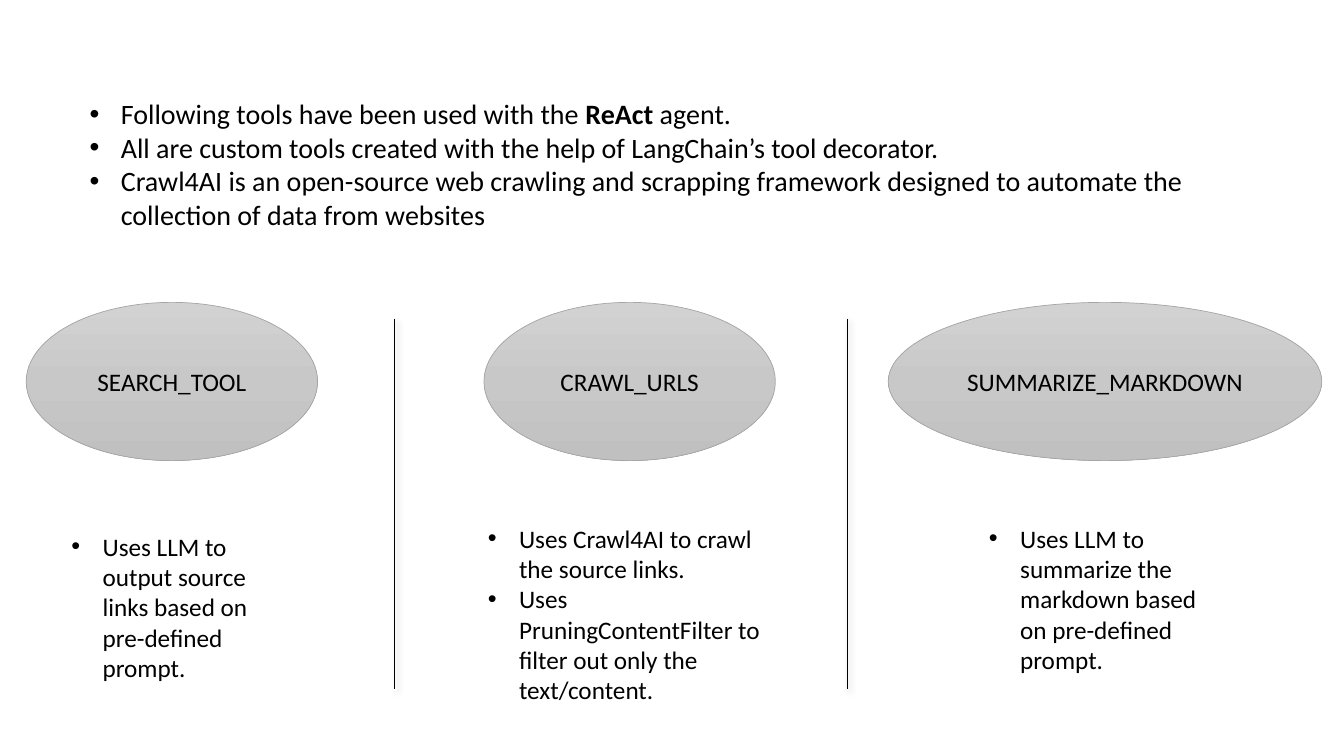
from copy import deepcopy
from lxml.etree import SubElement
from pptx import Presentation
from pptx.dml.color import RGBColor
from pptx.enum.shapes import MSO_CONNECTOR, MSO_SHAPE
from pptx.enum.text import MSO_ANCHOR, MSO_AUTO_SIZE, PP_ALIGN
from pptx.oxml.ns import qn
from pptx.util import Inches, Pt

BLACK = RGBColor(0, 0, 0)
EDGE = RGBColor(0xA5, 0xA5, 0xA5)
SHADES = [RGBColor(0xD2, 0xD2, 0xD2), RGBColor(0xC8, 0xC8, 0xC8), RGBColor(0xC0, 0xC0, 0xC0)]
FONT = "Calibri"

# Each paragraph is a list of (text, bold) runs
INTRO = [
    [("Following tools have been used with the ", False), ("ReAct ", True), ("agent.", False)],
    [("All are custom tools created with the help of LangChain’s tool decorator.", False)],
    [("Crawl4AI is an open-source web crawling and scrapping framework designed "
      "to automate the collection of data from websites", False)],
]
INTRO_BOX = (0.79, 0.91, 12.11, 1.45)

# Name, oval left and width, note box, note lines
TOOLS = [
    ("SEARCH_TOOL", 0.26, 2.89, (0.61, 5.22, 2.17, 1.62),
     ["Uses LLM to output source links based on pre-defined prompt."]),
    ("CRAWL_URLS", 4.8, 2.89, (4.74, 5.14, 3, 1.92),
     ["Uses Crawl4AI to crawl the source links.",
      "Uses PruningContentFilter to filter out only the text/content."]),
    ("SUMMARIZE_MARKDOWN", 8.81, 4.3, (9.71, 5.14, 2.51, 1.62),
     ["Uses LLM to summarize the markdown based on pre-defined prompt."]),
]
OVAL_TOP, OVAL_HIGH = 3, 1.57
RULES = [3.91, 8.4]
RULE_TOP, RULE_END = 3.16, 6.84


def write(frame, paras, size=18, align=PP_ALIGN.LEFT, bullet=False):
    frame.word_wrap = True
    for i, runs in enumerate(paras):
        para = frame.add_paragraph() if i else frame.paragraphs[0]
        para.alignment = align
        if bullet:
            props = para._p.get_or_add_pPr()
            props.set("marL", str(Inches(0.31)))
            props.set("indent", str(-Inches(0.31)))
            SubElement(props, qn("a:buFont"), typeface="Arial")
            SubElement(props, qn("a:buChar"), char="•")
        for text, bold in runs:
            run = para.add_run()
            run.text = text
            font = run.font
            font.name, font.size, font.bold = FONT, Pt(size), bold
            font.color.rgb = BLACK


def add_list(slide, box, paras, size=18):
    frame = slide.shapes.add_textbox(*map(Inches, box)).text_frame
    write(frame, paras, size=size, bullet=True)
    frame.auto_size = MSO_AUTO_SIZE.SHAPE_TO_FIT_TEXT


def add_oval(slide, name, left, width):
    box = map(Inches, (left, OVAL_TOP, width, OVAL_HIGH))
    oval = slide.shapes.add_shape(MSO_SHAPE.OVAL, *box)
    oval.shadow.inherit = False
    oval.fill.gradient()
    oval.fill.gradient_angle = 270
    first = oval._element.spPr.find(".//" + qn("a:gs"))
    first.addnext(deepcopy(first))
    for i, (stop, shade) in enumerate(zip(oval.fill.gradient_stops, SHADES)):
        stop.position = i / 2
        stop.color.rgb = shade
    oval.line.color.rgb = EDGE
    oval.line.width = Pt(0.5)
    oval.text_frame.vertical_anchor = MSO_ANCHOR.MIDDLE
    write(oval.text_frame, [[(name, False)]], align=PP_ALIGN.CENTER)


def add_rule(slide, x):
    """Draw a thin upright line with a soft shadow."""
    ends = map(Inches, (x, RULE_TOP, x, RULE_END))
    rule = slide.shapes.add_connector(MSO_CONNECTOR.STRAIGHT, *ends)
    rule.line.color.rgb = BLACK
    rule.line.width = Pt(0.5)
    effects = SubElement(rule._element.spPr, qn("a:effectLst"))
    shadow = SubElement(effects, qn("a:outerShdw"), blurRad=str(Pt(4)), dist=str(Pt(3)),
                        dir=str(45 * 60000), algn="tl", rotWithShape="0")
    color = SubElement(shadow, qn("a:srgbClr"), val=str(BLACK))
    SubElement(color, qn("a:alpha"), val="40000")


def main():
    deck = Presentation()
    deck.slide_width, deck.slide_height = Inches(13.33), Inches(7.5)
    slide = deck.slides.add_slide(deck.slide_layouts[6])
    add_list(slide, INTRO_BOX, INTRO, size=20)
    for name, left, width, box, notes in TOOLS:
        add_oval(slide, name, left, width)
        add_list(slide, box, [[(note, False)] for note in notes])
    for x in RULES:
        add_rule(slide, x)
    deck.save("out.pptx")


if __name__ == "__main__":
    main()
